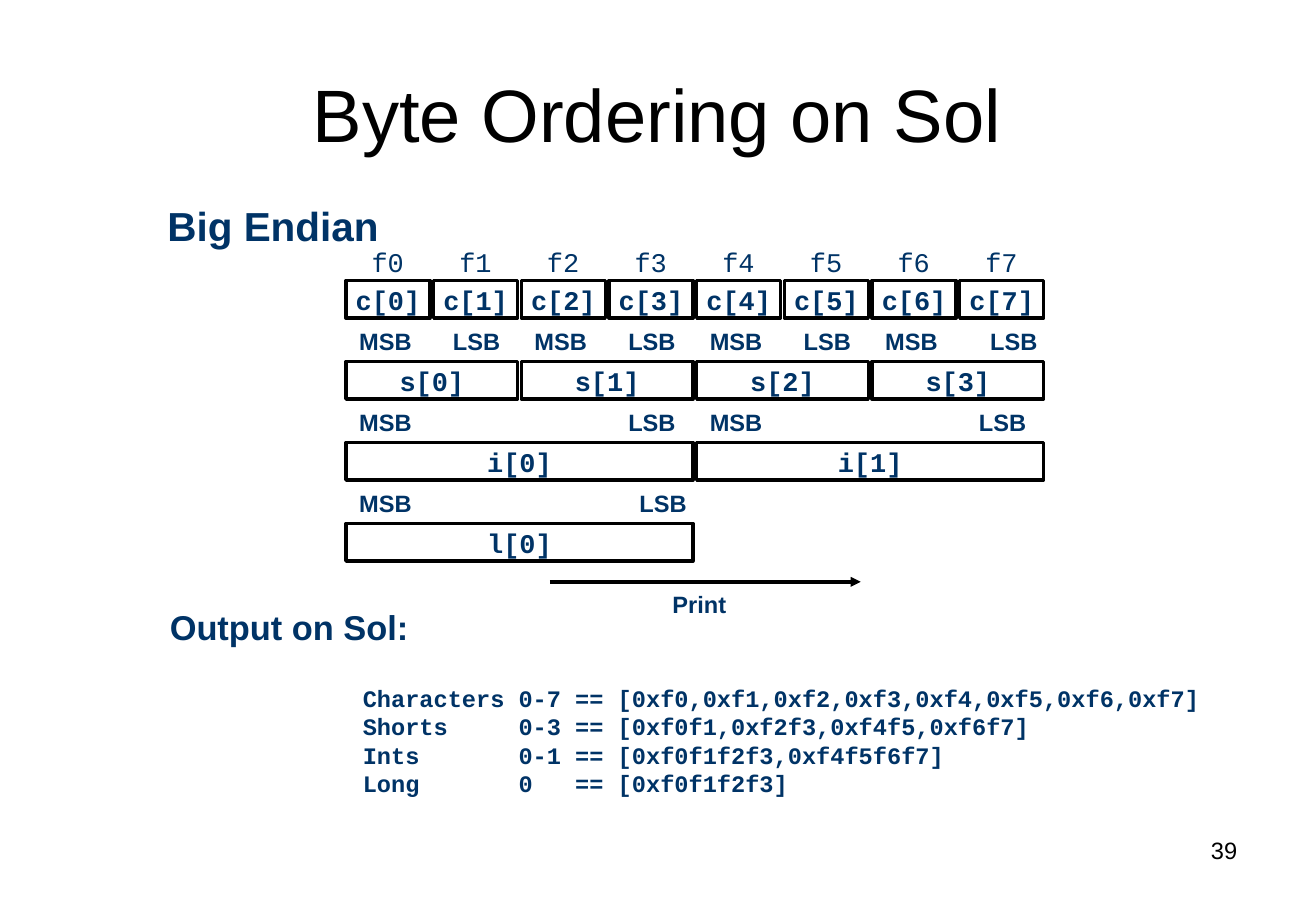
from dataclasses import dataclass

from lxml import etree
from pptx import Presentation
from pptx.dml.color import RGBColor
from pptx.enum.shapes import MSO_CONNECTOR, MSO_SHAPE
from pptx.enum.text import MSO_ANCHOR, MSO_AUTO_SIZE, PP_ALIGN
from pptx.oxml.ns import qn
from pptx.util import Pt

LEFT, CENTER, RIGHT = PP_ALIGN.LEFT, PP_ALIGN.CENTER, PP_ALIGN.RIGHT
TOP, MIDDLE = MSO_ANCHOR.TOP, MSO_ANCHOR.MIDDLE
NO_AUTOSIZE = MSO_AUTO_SIZE.NONE
RECTANGLE, STRAIGHT = MSO_SHAPE.RECTANGLE, MSO_CONNECTOR.STRAIGHT


@dataclass(frozen=True)
class Theme:
    """Colours, fonts and type sizes of the deck."""
    navy: RGBColor = RGBColor(0x00, 0x33, 0x66)
    black: RGBColor = RGBColor(0x00, 0x00, 0x00)
    white: RGBColor = RGBColor(0xFF, 0xFF, 0xFF)
    sans: str = "Arial"
    mono: str = "Courier New"
    title: float = 44
    heading: float = 24
    subheading: float = 20.4
    cell: float = 16
    small: float = 14
    stroke: float = 2


THEME = Theme()
COLUMNS = 8
COLUMN_PITCH = 52
ROW_PITCH = 48
CELL_GAP = 2.2
CELL_HEIGHT = 22.3
LABEL_HEIGHT = 24
MSB_WIDTH, LSB_WIDTH = 45.4, 42.5
LSB_INSET, LSB_OVERHANG = 3.2, -3.4
TYPE_ROWS = [("c", 1, 8), ("s", 2, 4), ("i", 4, 2), ("l", 4, 1)]
OVERHANGING = {("s", 3), ("l", 0)}
OUTPUT_TABS = (92.4, 126)
OUTPUT_LINES = [
    "Characters\t0-7\t== [0xf0,0xf1,0xf2,0xf3,0xf4,0xf5,0xf6,0xf7]",
    "Shorts\t0-3\t== [0xf0f1,0xf2f3,0xf4f5,0xf6f7]",
    "Ints\t0-1\t== [0xf0f1f2f3,0xf4f5f6f7]",
    "Long\t0\t== [0xf0f1f2f3]",
]


def add_span(para, text, size, font=THEME.sans, color=THEME.navy, bold=True):
    """Append one formatted run to a paragraph."""
    span = para.add_run()
    span.text = text
    span.font.size = Pt(size)
    span.font.name = font
    span.font.bold = bold
    span.font.color.rgb = color


def set_frame(frame, anchor=TOP, wrap=False):
    """Set the wrapping and anchoring of a text frame."""
    frame.auto_size = NO_AUTOSIZE
    frame.word_wrap = wrap
    frame.vertical_anchor = anchor


def add_text(page, box, text, size, align=LEFT, wrap=False, spacing=None, **style):
    """Add a one-line text box."""
    frame = page.shapes.add_textbox(*map(Pt, box)).text_frame
    set_frame(frame, wrap=wrap)
    para = frame.paragraphs[0]
    para.alignment = align
    if spacing:
        para.line_spacing = spacing
    add_span(para, text, size, **style)


def add_title(page, box, text):
    """Place and fill the title placeholder."""
    title = page.shapes.title
    title.left, title.top, title.width, title.height = map(Pt, box)
    set_frame(title.text_frame, MIDDLE, wrap=True)
    para = title.text_frame.paragraphs[0]
    para.alignment = CENTER
    add_span(para, text, THEME.title, color=THEME.black, bold=False)


def add_cell(page, box, text):
    """Add one outlined memory cell."""
    cell = page.shapes.add_shape(RECTANGLE, *map(Pt, box))
    cell.shadow.inherit = False
    cell.fill.solid()
    cell.fill.fore_color.rgb = THEME.white
    cell.line.color.rgb = THEME.black
    cell.line.width = Pt(THEME.stroke)
    set_frame(cell.text_frame, MIDDLE)
    para = cell.text_frame.paragraphs[0]
    para.alignment = CENTER
    add_span(para, text, THEME.cell, font=THEME.mono)


def add_byte_labels(page, left, top):
    """Label every byte column with its value."""
    for column in range(COLUMNS):
        box = (left + column * COLUMN_PITCH + 4.3, top, 41, 26)
        add_text(page, box, f"f{column}", THEME.cell, CENTER, wrap=True,
                 font=THEME.mono, bold=False)


def add_memory_map(page, left, top):
    """Draw the byte values and one row of cells for each data type."""
    add_byte_labels(page, left, top)
    for row, (name, span_bytes, count) in enumerate(TYPE_ROWS):
        cell_top = top + 24.5 + row * ROW_PITCH
        label_top = cell_top - LABEL_HEIGHT
        pitch = span_bytes * COLUMN_PITCH
        width = pitch - CELL_GAP
        for index in range(count):
            x = left + index * pitch
            add_cell(page, (x, cell_top, width, CELL_HEIGHT), f"{name}[{index}]")
            if row == 0:
                continue
            inset = LSB_OVERHANG if (name, index) in OVERHANGING else LSB_INSET
            lsb_left = x + width - inset - LSB_WIDTH
            add_text(page, (x + 0.7, label_top, MSB_WIDTH, LABEL_HEIGHT),
                     "MSB", THEME.small, RIGHT)
            add_text(page, (lsb_left, label_top, LSB_WIDTH, LABEL_HEIGHT),
                     "LSB", THEME.small, RIGHT)


def add_print_arrow(page, left, top, width):
    """Draw the reading direction with its caption."""
    arrow = page.shapes.add_connector(STRAIGHT, Pt(left), Pt(top), Pt(left + width), Pt(top))
    arrow.line.color.rgb = THEME.black
    arrow.line.width = Pt(THEME.stroke)
    etree.SubElement(arrow.line._get_or_add_ln(), qn("a:tailEnd"), type="triangle")
    etree.SubElement(arrow._element.spPr, qn("a:effectLst"))
    add_text(page, (left + 65.5, top + 1.5, 46, LABEL_HEIGHT), "Print", THEME.small)


def add_output(page, box):
    """List the program output in tabbed columns."""
    frame = page.shapes.add_textbox(*map(Pt, box)).text_frame
    set_frame(frame)
    for index, line in enumerate(OUTPUT_LINES):
        para = frame.add_paragraph() if index else frame.paragraphs[0]
        para.alignment = LEFT
        tabs = etree.SubElement(para._p.get_or_add_pPr(), qn("a:tabLst"))
        for stop in OUTPUT_TABS:
            etree.SubElement(tabs, qn("a:tab"), pos=str(Pt(stop)), algn="l")
        add_span(para, line, THEME.small, font=THEME.mono)


def add_byte_ordering_page(deck):
    """Build the byte ordering slide."""
    page = deck.slides.add_slide(deck.slide_layouts[5])
    add_title(page, (38.9, 21.6, 702, 90), "Byte Ordering on Sol")
    add_text(page, (92.2, 121, 222, 32.4), "Big Endian", THEME.heading,
             wrap=True, spacing=0.8)
    add_memory_map(page, 205.2, 141.8)
    add_print_arrow(page, 326.2, 344.9, 184.3)
    add_text(page, (93.6, 362.2, 312, 24.5), "Output on Sol:", THEME.subheading,
             wrap=True, spacing=0.7)
    add_output(page, (208.1, 401.8, 511.2, 90.7))
    add_text(page, (558.7, 491.8, 182.2, 37.4), "39", THEME.small, RIGHT,
             wrap=True, color=THEME.black, bold=False)


def main():
    """Create and save the deck."""
    deck = Presentation()
    deck.slide_width, deck.slide_height = Pt(780.48), Pt(540)
    add_byte_ordering_page(deck)
    deck.save("out.pptx")


if __name__ == "__main__":
    main()
